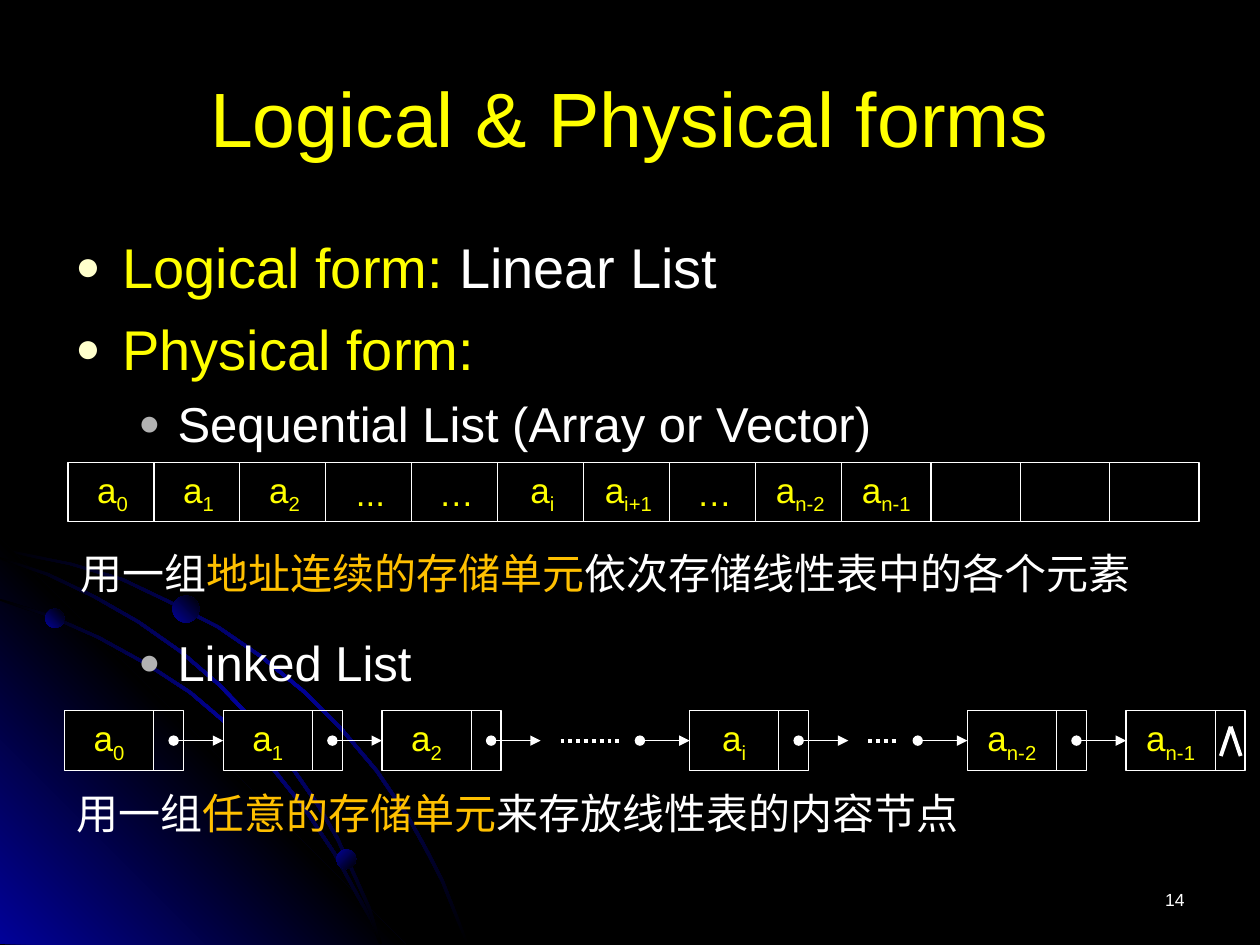
from lxml.etree import SubElement
from pptx import Presentation
from pptx.dml.color import RGBColor
from pptx.enum.dml import MSO_LINE
from pptx.enum.shapes import MSO_CONNECTOR, MSO_SHAPE
from pptx.enum.text import MSO_ANCHOR as Anchor, PP_ALIGN as Align
from pptx.oxml.ns import qn
from pptx.util import Cm, Pt

BLACK, WHITE, YELLOW, ORANGE, BLUE = "000000", "FFFFFF", "FFFF00", "FFC000", "010199"
CELL_WIDTH, CELL_HEIGHT, POINTER_WIDTH = 1.8, 1.2, 0.6
ARROW_START, ARROW_LENGTH = 2.2, 1.0
ARRAY_TOP, LINKED_TOP = 9.32, 14.33
BOTTOM = 19.04

# Upper edges of the curved background bands
BANDS = {
    "outer": [(0, 11.05), (0.71, 11.2), (1.45, 11.35), (2.49, 11.66), (3.45, 12.12),
              (4.42, 12.62), (5.31, 13.23), (6.15, 13.92), (6.91, 14.68), (7.62, 15.52),
              (8.26, 16.46), (8.61, 17.09), (8.94, 17.73), (9.19, 18.36), (9.45, 19.02)],
    "inner": [(0, 12.07), (1.04, 12.4), (2.01, 12.83), (2.97, 13.36), (3.86, 13.94),
              (4.67, 14.63), (5.46, 15.39), (6.15, 16.26), (6.76, 17.17), (7.26, 18.08),
              (7.52, 18.54), (7.7, 19.02)],
    "middle": [(0, 11.23), (0.99, 11.56), (1.93, 12.01), (2.82, 12.52), (3.66, 13.11),
               (4.45, 13.79), (5.18, 14.55), (5.82, 15.32), (6.45, 16.23), (6.83, 16.89),
               (7.16, 17.6), (7.47, 18.29), (7.7, 19.02)],
}


def color(value):
    return RGBColor.from_string(value)


def fill_gradient(shape, colors, angle):
    """Spread the colours evenly; the angle runs counterclockwise."""
    shape.shadow.inherit = False
    shape.line.fill.background()
    shape.fill.gradient()
    shape.fill.gradient_angle = angle
    stops = shape._element.spPr.find(qn("a:gradFill")).find(qn("a:gsLst"))
    for stop in list(stops):
        stops.remove(stop)
    for index, value in enumerate(colors):
        position = 100000 * index // (len(colors) - 1)
        stop = SubElement(stops, qn("a:gs"), pos=str(position))
        SubElement(stop, qn("a:srgbClr"), val=value)


def add_polygon(slide, points, colors, angle):
    corners = [(Cm(x), Cm(y)) for x, y in points]
    builder = slide.shapes.build_freeform(*corners[0])
    builder.add_line_segments(corners[1:], close=True)
    fill_gradient(builder.convert_to_shape(), colors, angle)


def add_band(slide, upper):
    lower = [(max(x - 0.05, 0), min(y + 0.04, BOTTOM)) for x, y in upper]
    add_polygon(slide, upper + lower[::-1], [BLACK, BLUE, BLACK], 315)


def add_sphere(slide, left, top, size, angle):
    shape = slide.shapes.add_shape(MSO_SHAPE.OVAL, Cm(left), Cm(top), Cm(size), Cm(size))
    fill_gradient(shape, [BLUE, BLACK], angle)


def add_run(paragraph, text, size, value, subscript=False):
    run = paragraph.add_run()
    run.text = text
    run.font.name = "Arial"
    run.font.size = Pt(size)
    run.font.color.rgb = color(value)
    if subscript:
        run.font._element.set("baseline", "-25000")


def add_text_box(slide, left, top, width, height):
    frame = slide.shapes.add_textbox(Cm(left), Cm(top), Cm(width), Cm(height)).text_frame
    frame.word_wrap = True
    return frame


def add_line_of_text(slide, box, runs, size, align=Align.LEFT, anchor=Anchor.TOP):
    frame = add_text_box(slide, *box)
    frame.vertical_anchor = anchor
    paragraph = frame.paragraphs[0]
    paragraph.alignment = align
    for text, value in runs:
        add_run(paragraph, text, size, value)


def set_bullet(paragraph, level, margin, hanging, value):
    properties = paragraph._p.get_or_add_pPr()
    paragraph.level = level
    properties.set("marL", str(Cm(margin)))
    properties.set("indent", str(-Cm(hanging)))
    bullet_color = SubElement(properties, qn("a:buClr"))
    SubElement(bullet_color, qn("a:srgbClr"), val=value)
    SubElement(properties, qn("a:buSzPct"), val="75000")
    SubElement(properties, qn("a:buFont"), typeface="Arial")
    SubElement(properties, qn("a:buChar"), char="●")


def add_outline(slide):
    frame = add_text_box(slide, 1.27, 4.57, 22.86, 12.45)
    top_level = (0, 0.95, 0.95, "FFFFCC")
    sub_level = (1, 2.06, 0.79, "B2B2B2")
    items = [
        (top_level, 32, 0, [("Logical form: ", YELLOW), ("Linear List", WHITE)]),
        (top_level, 32, 8, [("Physical form:", YELLOW)]),
        (sub_level, 28, 7, [("Sequential List (Array or Vector)", WHITE)]),
        (sub_level, 28, 103, [("Linked List", WHITE)]),
    ]
    for index, (bullet, size, space, runs) in enumerate(items):
        paragraph = frame.add_paragraph() if index else frame.paragraphs[0]
        set_bullet(paragraph, *bullet)
        if space:
            paragraph.space_before = Pt(space)
        for text, value in runs:
            add_run(paragraph, text, size, value)


def add_cell(slide, left, top, width=CELL_WIDTH, label="", index="", filled=True):
    shape = slide.shapes.add_shape(
        MSO_SHAPE.RECTANGLE, Cm(left), Cm(top), Cm(width), Cm(CELL_HEIGHT))
    shape.shadow.inherit = False
    if filled:
        shape.fill.solid()
        shape.fill.fore_color.rgb = color(BLACK)
    else:
        shape.fill.background()
    shape.line.color.rgb = color(WHITE)
    shape.line.width = Pt(0.75)
    if label:
        frame = shape.text_frame
        frame.word_wrap = False
        frame.vertical_anchor = Anchor.MIDDLE
        paragraph = frame.paragraphs[0]
        paragraph.alignment = Align.CENTER
        add_run(paragraph, label, 20, YELLOW)
        if index:
            add_run(paragraph, index, 20, YELLOW, subscript=True)


def add_line(slide, start, end, width=2.25, dash=None):
    connector = slide.shapes.add_connector(
        MSO_CONNECTOR.STRAIGHT, Cm(start[0]), Cm(start[1]), Cm(end[0]), Cm(end[1]))
    connector.line.color.rgb = color(WHITE)
    connector.line.width = Pt(width)
    if dash:
        connector.line.dash_style = dash
    SubElement(connector._element.spPr, qn("a:effectLst"))
    return connector


def add_pointer(slide, left):
    middle = LINKED_TOP + CELL_HEIGHT / 2
    connector = add_line(slide, (left, middle), (left + ARROW_LENGTH, middle), 0.75)
    outline = connector._element.spPr.find(qn("a:ln"))
    SubElement(outline, qn("a:headEnd"), type="oval")
    SubElement(outline, qn("a:tailEnd"), type="triangle")


def add_background(slide):
    add_band(slide, BANDS["outer"])
    add_polygon(slide, [(0, 10.85), (8.18, BOTTOM), (0, BOTTOM)], [BLUE, BLACK, BLUE], 45)
    add_band(slide, BANDS["inner"])
    add_band(slide, BANDS["middle"])
    add_sphere(slide, 0.91, 12.27, 0.39, 45)
    add_sphere(slide, 6.78, 17.12, 0.4, 315)
    add_sphere(slide, 3.48, 12.01, 0.54, 45)


def add_sequential_list(slide):
    cells = [("a", "0"), ("a", "1"), ("a", "2"), ("...", ""), ("…", ""), ("a", "i"),
             ("a", "i+1"), ("…", ""), ("a", "n-2"), ("a", "n-1")]
    for number, (label, index) in enumerate(cells):
        add_cell(slide, 1.37 + 1.733 * number, ARRAY_TOP, label=label, index=index)
    for number in range(3):
        add_cell(slide, 18.77 + 1.8 * number, ARRAY_TOP)


def add_linked_list(slide):
    nodes = {"0": 1.3, "1": 4.5, "2": 7.7, "i": 13.9, "n-2": 19.5, "n-1": 22.7}
    for index, left in nodes.items():
        add_cell(slide, left, LINKED_TOP, label="a", index=index)
        add_cell(slide, left + CELL_WIDTH, LINKED_TOP, POINTER_WIDTH, filled=False)
        if index != "n-1":
            add_pointer(slide, left + ARROW_START)
        if index in ("i", "n-2"):
            add_pointer(slide, left - ARROW_LENGTH)
    middle = LINKED_TOP + CELL_HEIGHT / 2
    for start, end in ((11.3, 12.5), (17.5, 18.1)):
        add_line(slide, (start, middle), (end, middle), dash=MSO_LINE.ROUND_DOT)
    for foot in (24.61, 25.01):
        add_line(slide, (foot, 15.24), (24.81, 14.65))


def main():
    presentation = Presentation()
    presentation.slide_width, presentation.slide_height = Cm(25.4), Cm(19.05)
    slide = presentation.slides.add_slide(presentation.slide_layouts[6])
    slide.background.fill.solid()
    slide.background.fill.fore_color.rgb = color(BLACK)
    add_background(slide)
    add_line_of_text(slide, (18.2, 17.8, 5.93, 1.27), [("14", WHITE)], 10, Align.RIGHT)
    add_line_of_text(slide, (1.27, 0.76, 22.86, 3.18), [("Logical & Physical forms", YELLOW)],
                     44, Align.CENTER, Anchor.MIDDLE)
    add_outline(slide)
    add_sequential_list(slide)
    add_linked_list(slide)
    add_line_of_text(slide, (1.37, 10.92, 22.94, 1.27), [
        ("用一组", WHITE), ("地址连续的存储单元", ORANGE),
        ("依次存储线性表中的各个元素", WHITE)], 24)
    add_line_of_text(slide, (1.3, 15.75, 22.94, 1.27), [
        ("用一组", WHITE), ("任意的存储单元", ORANGE),
        ("来存放线性表的内容节点", WHITE)], 24)
    presentation.save("out.pptx")


if __name__ == "__main__":
    main()
